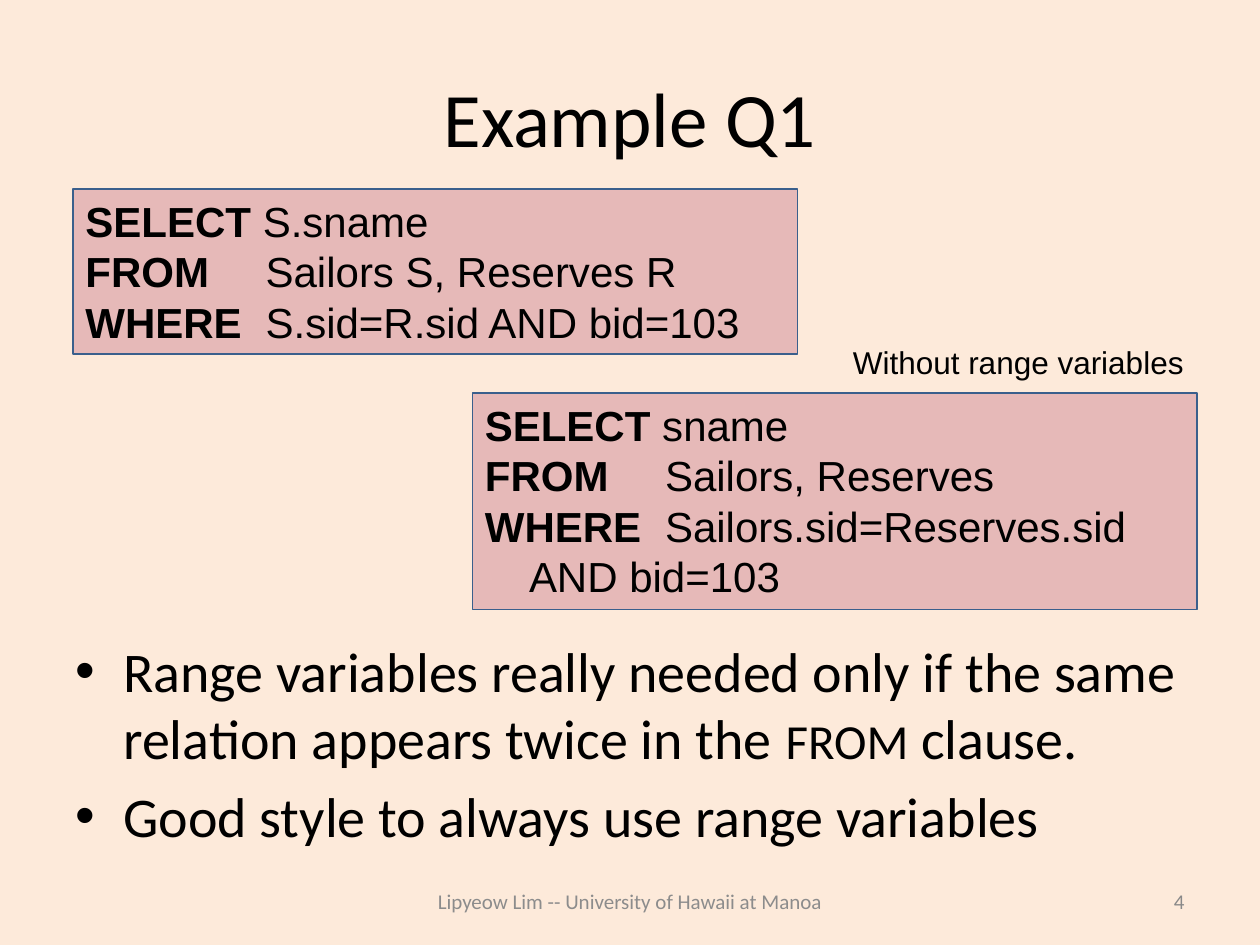
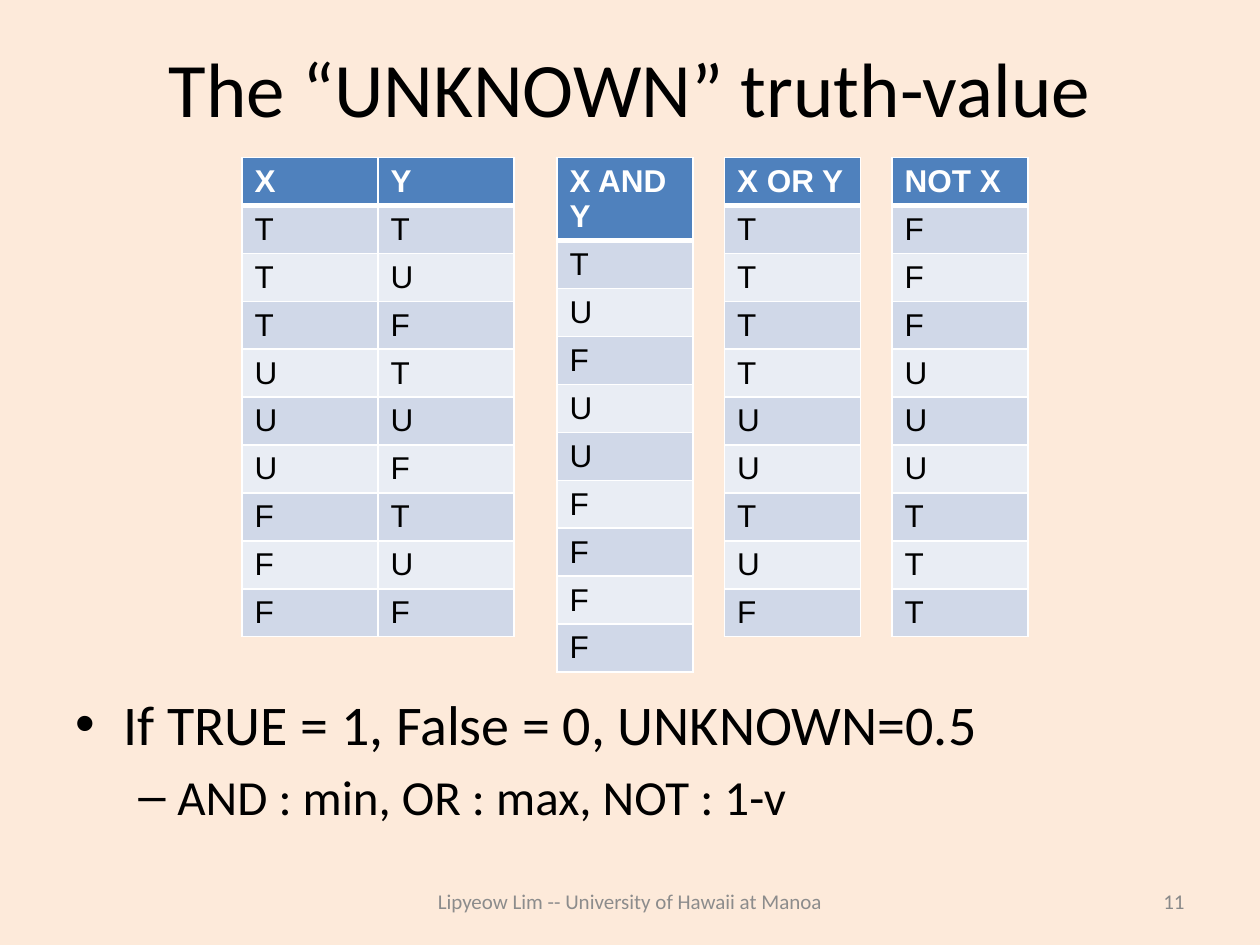
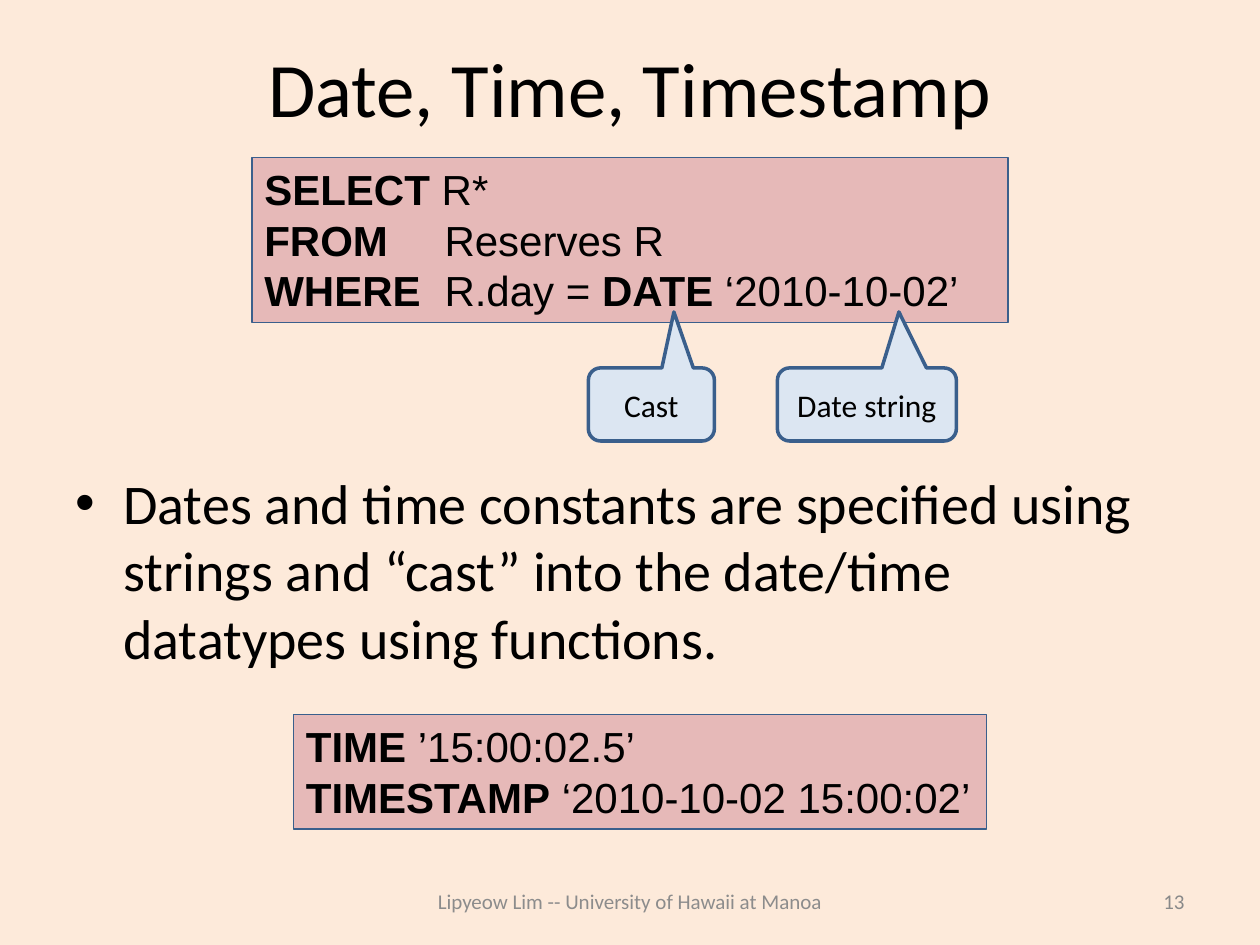
from itertools import product

from lxml.etree import SubElement as Sub
from pptx import Presentation
from pptx.dml.color import RGBColor as RGB
from pptx.enum.shapes import MSO_SHAPE as Shape
from pptx.enum.text import MSO_ANCHOR as Anchor, MSO_AUTO_SIZE as Auto, PP_ALIGN as Align
from pptx.oxml.ns import qn
from pptx.util import Inches, Pt

COLORS = {
    "back": "FDEADA", "ink": "000000", "white": "FFFFFF",
    "code": "E6B9B8", "note": "DCE6F2", "edge": "3A5F8C",
    "head": "4F81BD", "odd": "D0D8E8", "even": "E9EDF4",
    "foot": "8C8C8C", "page": "898989",
}
FOOTER = "Lipyeow Lim -- University of Hawaii at Manoa"
TABS = (0.35, 1.43)  # wrapped line, clause text
BULLETS = (("•", 0.38, 0.38, 32), ("–", 0.81, 0.31, 28))
TRUTH = "FUT"  # from lowest to highest


def rgb(name):
    return RGB.from_string(COLORS[name])


def box(left, top, width, height):
    return [Inches(v) for v in (left, top, width, height)]


# Text: backticks enclose the parts that take the "alt" format
def write(frame, text, font="Calibri", size=18, color="ink", bold=False,
          align=Align.LEFT, anchor=Anchor.TOP, wrap=True, auto=Auto.NONE, alt=None):
    frame.word_wrap = wrap
    frame.auto_size = auto
    frame.vertical_anchor = anchor
    for i, line in enumerate(text.split("\n")):
        para = frame.paragraphs[0] if i == 0 else frame.add_paragraph()
        para.alignment = align
        for j, part in enumerate(line.split("`")):
            look = {"size": size, "bold": bold}
            if j % 2:
                look.update(alt or {})
            for k, piece in enumerate(part.split("\v")):
                if k:
                    para.add_line_break()
                if not piece:
                    continue
                run = para.add_run()
                run.text = piece
                run.font.name = font
                run.font.size = Pt(look["size"])
                run.font.bold = look["bold"]
                run.font.color.rgb = rgb(color)
    return frame


def label(slide, area, text, **fmt):
    return write(slide.shapes.add_textbox(*area).text_frame, text, **fmt)


def panel(slide, kind, area, fill, weight):
    shape = slide.shapes.add_shape(kind, *area)
    shape.shadow.inherit = False
    shape.fill.solid()
    shape.fill.fore_color.rgb = rgb(fill)
    shape.line.color.rgb = rgb("edge")
    shape.line.width = Pt(weight)
    return shape


# SQL text on a coloured panel
def code(slide, area, text):
    shape = panel(slide, Shape.RECTANGLE, area, "code", 0.75)
    frame = write(shape.text_frame, text, font="Arial", size=24,
                  auto=Auto.SHAPE_TO_FIT_TEXT, alt={"bold": True})
    for para in frame.paragraphs:
        stops = Sub(para._p.get_or_add_pPr(), qn("a:tabLst"))
        for stop in TABS:
            Sub(stops, qn("a:tab"), pos=str(Inches(stop)), algn="l")


# Callout that points up at the code
def callout(slide, area, text):
    shape = panel(slide, Shape.ROUNDED_RECTANGULAR_CALLOUT, area, "note", 2)
    for i, value in enumerate((0.179, -1.266, 0.167)):
        shape.adjustments[i] = value
    write(shape.text_frame, text, align=Align.CENTER, anchor=Anchor.MIDDLE)


# Bulleted list: pairs of level and text
def bullets(slide, area, items):
    frame = label(slide, area, "\n".join(text for _, text in items),
                  size=32, alt={"size": 28})
    for para, (level, _) in zip(frame.paragraphs, items):
        mark, left, hang, size = BULLETS[level]
        para.level = level
        para.space_before = Pt(size * 0.2)
        for run in para.runs:
            run.font.size = min(run.font.size, Pt(size))
        props = para._p.get_or_add_pPr()
        props.set("marL", str(Inches(left)))
        props.set("indent", str(-Inches(hang)))
        Sub(props, qn("a:buFont"), typeface="Arial")
        Sub(props, qn("a:buChar"), char=mark)


def border(cell, side, weight):
    line = Sub(cell._tc.get_or_add_tcPr(), qn("a:ln" + side), w=str(Pt(weight)))
    Sub(Sub(line, qn("a:solidFill")), qn("a:srgbClr"), val=COLORS["white"])


# Banded truth table with a header row
def grid(slide, left, top, rows):
    wide, high = 1.08, 0.31
    count = len(rows[0])
    frame = slide.shapes.add_table(len(rows), count, *box(left, top, wide * count, 4))
    table = frame.table
    for col in table.columns:
        col.width = Inches(wide)
    for r, row in enumerate(rows):
        table.rows[r].height = Inches(high)
        for c, text in enumerate(row):
            cell = table.cell(r, c)
            for side in "LRTB":
                thick = (r, side) in ((0, "B"), (1, "T"))
                border(cell, side, 3 if thick else 1)
            cell.fill.solid()
            cell.fill.fore_color.rgb = rgb("head" if r == 0 else "odd" if r % 2 else "even")
            write(cell.text_frame, text, font="Arial", bold=r == 0,
                  color="white" if r == 0 else "ink")
    frame.height = Inches(4)


# Title, footer and page number of every slide
def start(deck, title, page, high=0.78):
    slide = deck.slides.add_slide(deck.slide_layouts[5])
    head = slide.shapes.title
    head.left, head.top, head.width, head.height = box(0.5, 0.3, 9, high)
    write(head.text_frame, title, size=44, align=Align.CENTER, anchor=Anchor.MIDDLE)
    label(slide, box(3, 6.95, 4, 0.4), FOOTER, size=12, color="foot",
          align=Align.CENTER, anchor=Anchor.MIDDLE)
    label(slide, box(7.17, 6.95, 2.33, 0.4), str(page), size=12, color="page",
          align=Align.RIGHT, anchor=Anchor.MIDDLE)
    return slide


def query(deck):
    slide = start(deck, "Example Q1", 4, high=1.25)
    bullets(slide, box(0.5, 5, 9, 1.7), [
        (0, "Range variables really needed only if the same relation "
            "appears twice in the `FROM` clause."),
        (0, "Good style to always use range variables"),
    ])
    code(slide, box(0.58, 1.5, 5.75, 1.31),
         "`SELECT `S.sname\n`FROM`\tSailors S, Reserves R\n"
         "`WHERE`\tS.sid=R.sid AND bid=103")
    code(slide, box(3.75, 3.12, 5.75, 1.72),
         "`SELECT `sname\n`FROM`\tSailors, Reserves\n"
         "`WHERE`\tSailors.sid=Reserves.sid\v\tAND bid=103")
    label(slide, box(6.67, 2.67, 2.85, 0.4), "Without range variables",
          font="Arial", wrap=False, auto=Auto.SHAPE_TO_FIT_TEXT)


def truth(deck):
    slide = start(deck, "The “UNKNOWN” truth-value", 11)
    bullets(slide, box(0.5, 5.42, 9, 1.28), [
        (0, "If TRUE = 1, False = 0, UNKNOWN=0.5"),
        (1, "AND : min, OR : max, NOT : 1-v"),
    ])
    pairs = list(product(TRUTH[::-1], repeat=2))
    rank = TRUTH.index
    grid(slide, 1.92, 1.25, [("X", "Y")] + pairs)
    rules = (
        ("X AND Y", lambda x, y: min(x, y, key=rank)),
        ("X OR Y", lambda x, y: max(x, y, key=rank)),
        ("NOT X", lambda x, y: TRUTH[2 - rank(x)]),
    )
    for i, (name, rule) in enumerate(rules):
        grid(slide, 4.42 + 1.33 * i, 1.25, [(name,)] + [(rule(x, y),) for x, y in pairs])


def dates(deck):
    slide = start(deck, "Date, Time, Timestamp", 13)
    bullets(slide, box(0.5, 3.67, 9, 1.5), [
        (0, "Dates and time constants are specified using strings and “cast” "
            "into the date/time datatypes using functions."),
    ])
    code(slide, box(2, 1.25, 6, 1.31),
         "`SELECT` R*\n`FROM`\tReserves R\n"
         "`WHERE`\tR.day = `DATE` ‘2010-10-02’")
    code(slide, box(2.33, 5.67, 5.5, 0.91),
         "`TIME` ’15:00:02.5’\n`TIMESTAMP` ‘2010-10-02 15:00:02’")
    callout(slide, box(4.67, 2.92, 1, 0.58), "Cast")
    callout(slide, box(6.17, 2.92, 1.42, 0.58), "Date string")


deck = Presentation()
deck.slide_width, deck.slide_height = Inches(10), Inches(7.5)
back = deck.slide_master.background.fill
back.solid()
back.fore_color.rgb = rgb("back")
for build in (query, truth, dates):
    build(deck)
deck.save("out.pptx")
